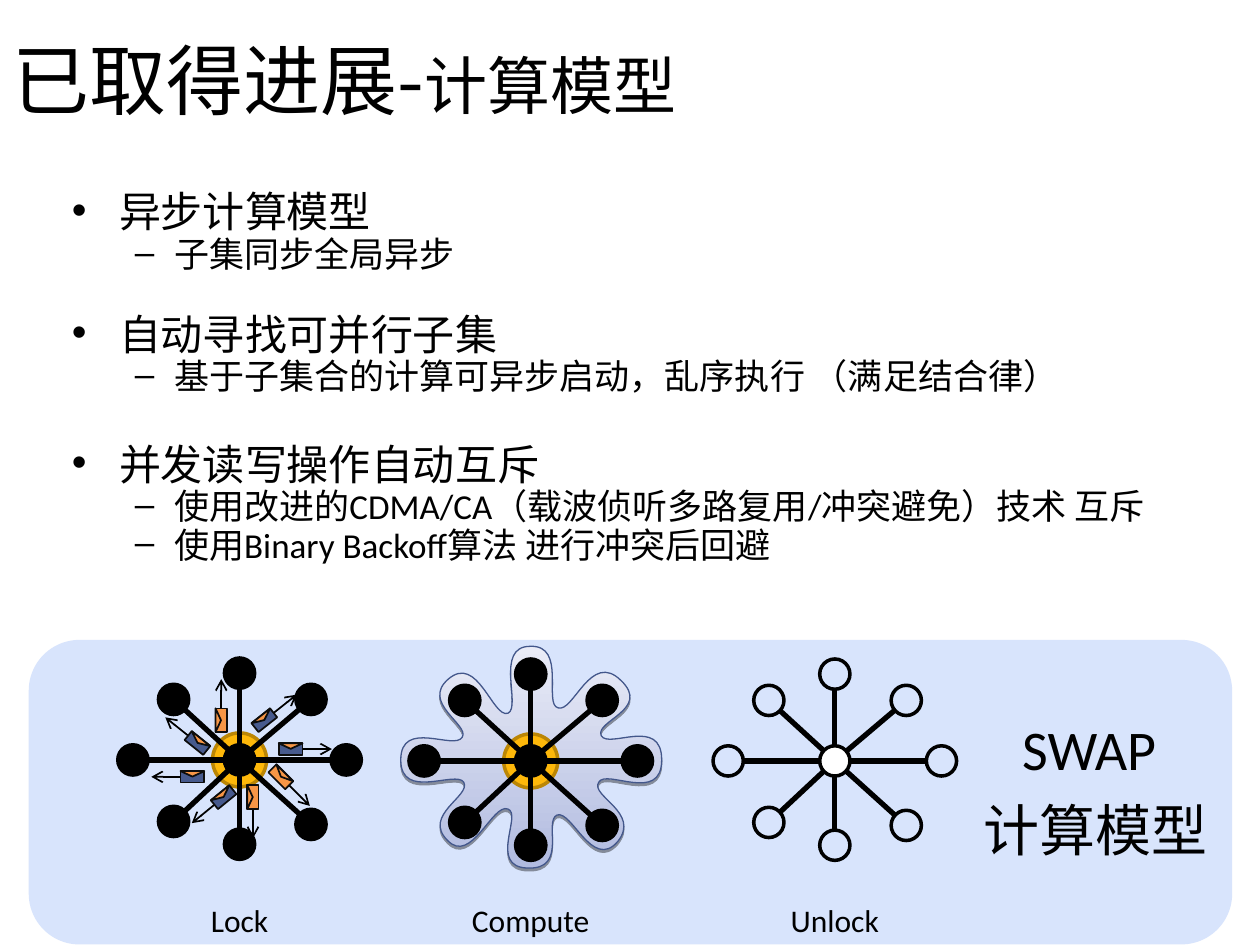
"""Build the slide on the asynchronous SWAP computing model."""
from dataclasses import dataclass
from math import cos, hypot, radians, sin

from lxml import etree
from pptx import Presentation
from pptx.dml.color import RGBColor
from pptx.enum.shapes import MSO_CONNECTOR, MSO_SHAPE
from pptx.enum.text import MSO_ANCHOR, PP_ALIGN
from pptx.oxml.ns import qn
from pptx.util import Cm, Pt

STRAIGHT = MSO_CONNECTOR.STRAIGHT
OVAL, RECTANGLE = MSO_SHAPE.OVAL, MSO_SHAPE.RECTANGLE
ROUNDED, TRIANGLE = MSO_SHAPE.ROUNDED_RECTANGLE, MSO_SHAPE.ISOSCELES_TRIANGLE
LEFT, CENTER = PP_ALIGN.LEFT, PP_ALIGN.CENTER
TOP, MIDDLE = MSO_ANCHOR.TOP, MSO_ANCHOR.MIDDLE


@dataclass(frozen=True)
class Theme:
    """Colours, fonts and type sizes."""
    latin: str = "Calibri"
    asian: str = "Noto Sans CJK SC"
    ink: str = "000000"
    paper: str = "FFFFFF"
    panel: str = "D8E4FC"
    glow: str = "FEB80A"
    glow_edge: str = "BB8605"
    cloud_dark: str = "B1BBE0"
    cloud_light: str = "EAECF7"
    cloud_edge: str = "43578B"
    blue: str = "475A8D"
    orange: str = "F79646"
    envelope_edge: str = "0D0D0D"
    title: int = 44
    subtitle: int = 36
    topic: int = 24
    detail: int = 20
    label: int = 18
    model: int = 32


THEME = Theme()

TITLE = [("已取得进展-", THEME.title), ("计算模型", THEME.subtitle)]
TOPICS = [
    (0, "异步计算模型", ["子集同步全局异步"]),
    (28, "自动寻找可并行子集", ["基于子集合的计算可异步启动，乱序执行 （满足结合律）"]),
    (32.5, "并发读写操作自动互斥", [
        "使用改进的CDMA/CA（载波侦听多路复用/冲突避免）技术 互斥",
        "使用Binary Backoff算法 进行冲突后回避"]),
]
MODEL = ["SWAP ", "计算模型"]

# name, hub x, hub y, glowing, hub fill, node fill, label width
STAGES = [
    ("Compute", 10.7, 15.34, True, THEME.ink, THEME.ink, 2.87),
    ("Lock", 4.83, 15.32, True, THEME.ink, THEME.ink, 1.8),
    ("Unlock", 16.83, 15.34, False, THEME.paper, None, 2.29),
]
NODES = [(-1.33, -1.22), (1.44, -1.22), (0, -1.75), (2.15, 0),
         (-2.15, 0), (0, 1.7), (-1.33, 1.24), (1.44, 1.3)]
NODE_SIZE, GLOW_SIZE = 0.61, 1.09

# x and y from the hub, turn, travel direction, fill
ENVELOPES = [
    (1.03, -0.22, 0, 1, THEME.blue), (0.5, -0.8, 321.6, 1, THEME.blue),
    (-0.37, -0.8, 270, 1, THEME.orange), (-0.85, -0.34, 38.7, -1, THEME.blue),
    (-0.95, 0.34, 0, -1, THEME.blue), (-0.32, 0.75, 320.8, -1, THEME.blue),
    (0.27, 0.75, 270, -1, THEME.orange), (0.83, 0.34, 45, 1, THEME.orange),
]
CLOUD_START = (8.08, 15.32)
CLOUD_CURVES = [
    ((8.08, 14.48), (9.17, 15.14), (9.32, 14.86)),
    ((9.47, 14.61), (8.48, 14.17), (9.04, 13.69)),
    ((9.63, 13.18), (9.93, 14.48), (10.24, 14.38)),
    ((10.52, 14.25), (9.96, 13.03), (10.69, 13.03)),
    ((11.43, 13), (10.95, 14.2), (11.25, 14.27)),
    ((11.56, 14.38), (11.91, 13.11), (12.52, 13.72)),
    ((13.13, 14.3), (11.99, 14.53), (12.12, 14.83)),
    ((12.27, 15.11), (13.34, 14.43), (13.34, 15.32)),
    ((13.34, 16.21), (12.22, 15.49), (12.07, 15.77)),
    ((11.89, 16.05), (12.93, 16.38), (12.45, 16.97)),
    ((11.94, 17.55), (11.53, 16.33), (11.23, 16.43)),
    ((10.95, 16.56), (11.46, 17.53), (10.64, 17.5)),
    ((9.83, 17.48), (10.54, 16.41), (10.24, 16.31)),
    ((9.93, 16.18), (9.5, 17.45), (9.02, 16.94)),
    ((8.51, 16.43), (9.5, 16.05), (9.35, 15.77)),
    ((9.19, 15.52), (8.08, 16.15), CLOUD_START),
]


def color(code):
    return RGBColor.from_string(code)


def add_text_box(shapes, left, top, width, height, wrap=True, anchor=TOP):
    frame = shapes.add_textbox(Cm(left), Cm(top), Cm(width), Cm(height)).text_frame
    frame.word_wrap, frame.vertical_anchor = wrap, anchor
    return frame


def add_paragraph(frame, spans, align=LEFT, before=0, bullet=None, margin=0, hang=0,
                  latin=THEME.latin):
    first = not frame.paragraphs[0].runs
    para = frame.paragraphs[0] if first else frame.add_paragraph()
    if bullet:
        properties = para._p.get_or_add_pPr()
        properties.set("marL", str(Cm(margin)))
        properties.set("indent", str(-Cm(hang)))
        etree.SubElement(properties, qn("a:buFont"), typeface="Arial")
        etree.SubElement(properties, qn("a:buChar"), char=bullet)
        para.line_spacing = 0.7
    para.alignment = align
    if before:
        para.space_before = Pt(before)
    for text, size in spans:
        span = para.add_run()
        span.text = text
        span.font.size, span.font.name = Pt(size), latin
        span.font.color.rgb = color(THEME.ink)
        etree.SubElement(span._r.get_or_add_rPr(), qn("a:ea"), typeface=THEME.asian)


def add_centered(shapes, kind, x, y, width, height, fill, edge=None, weight=2, turn=0):
    shape = shapes.add_shape(kind, Cm(x - width / 2), Cm(y - height / 2),
                             Cm(width), Cm(height))
    shape.shadow.inherit = False
    shape.rotation = turn
    if fill:
        shape.fill.solid()
        shape.fill.fore_color.rgb = color(fill)
    else:
        shape.fill.background()
    if edge:
        shape.line.color.rgb, shape.line.width = color(edge), Pt(weight)
    else:
        shape.line.fill.background()
    return shape


def add_line(shapes, start, end, weight, arrow=False):
    line = shapes.add_connector(STRAIGHT, *(Cm(value) for value in (*start, *end)))
    line.line.color.rgb, line.line.width = color(THEME.ink), Pt(weight)
    if arrow:
        etree.SubElement(line.line._get_or_add_ln(), qn("a:tailEnd"), type="arrow")
    etree.SubElement(line._element.spPr, qn("a:effectLst"))


def add_cloud(shapes):
    builder = shapes.build_freeform(*(Cm(value) for value in CLOUD_START))
    builder.add_line_segments([(Cm(x), Cm(y)) for *_, (x, y) in CLOUD_CURVES], close=True)
    cloud = builder.convert_to_shape()
    segments = list(cloud._element.iter(qn("a:lnTo")))
    for segment, curve in zip(segments, CLOUD_CURVES):
        bend = etree.Element(qn("a:cubicBezTo"))
        for x, y in curve:
            etree.SubElement(bend, qn("a:pt"), x=str(Cm(x) - cloud.left),
                             y=str(Cm(y) - cloud.top))
        segment.getparent().replace(segment, bend)
    cloud.fill.gradient()
    cloud.fill.gradient_angle = 90
    for stop, code in zip(cloud.fill.gradient_stops, (THEME.cloud_dark, THEME.cloud_light)):
        stop.color.rgb = color(code)
    cloud.line.color.rgb, cloud.line.width = color(THEME.cloud_edge), Pt(0.75)
    effects = etree.SubElement(cloud._element.spPr, qn("a:effectLst"))
    shadow = etree.SubElement(effects, qn("a:outerShdw"), blurRad="0",
                              dist=str(Pt(1.6)), dir="5400000", rotWithShape="0")
    shade = etree.SubElement(shadow, qn("a:srgbClr"), val=THEME.ink)
    etree.SubElement(shade, qn("a:alpha"), val="38000")


def add_stage(page, name, x, y, glowing, hub_fill, node_fill, label_width):
    shapes = page.shapes.add_group_shape().shapes
    if glowing:
        add_centered(shapes, OVAL, x, y, GLOW_SIZE, GLOW_SIZE, THEME.glow, THEME.glow_edge)
    for dx, dy in NODES:
        near = NODE_SIZE / 2 / hypot(dx, dy)
        add_line(shapes, (x + dx * near, y + dy * near),
                 (x + dx * (1 - near), y + dy * (1 - near)), 3)
    for dx, dy, fill in [(0, 0, hub_fill)] + [(*node, node_fill) for node in NODES]:
        add_centered(shapes, OVAL, x + dx, y + dy, NODE_SIZE, NODE_SIZE, fill, THEME.ink)
    frame = add_text_box(shapes, x - label_width / 2, 18.03, label_width, 1.02, wrap=False)
    add_paragraph(frame, [(name, THEME.label)], CENTER)
    return shapes


def add_envelope(shapes, x, y, turn, direction, fill):
    across, down = cos(radians(turn)), sin(radians(turn))
    start, end = [(x + direction * reach * across, y + direction * reach * down)
                  for reach in (0.24, 0.83)]
    add_line(shapes, start, end, 1, arrow=True)
    add_centered(shapes, RECTANGLE, x, y, 0.48, 0.23, fill, THEME.envelope_edge, 1, turn)
    add_centered(shapes, TRIANGLE, x + 0.06 * down, y - 0.06 * across, 0.48, 0.11,
                 THEME.orange, THEME.envelope_edge, 1, (turn + 180) % 360)


def main():
    deck = Presentation()
    deck.slide_width, deck.slide_height = Cm(25.4), Cm(19.05)
    page = deck.slides.add_slide(deck.slide_layouts[6])
    add_centered(page.shapes, ROUNDED, 12.71, 15.97, 24.26, 6.14, THEME.panel)
    heading = add_text_box(page.shapes, 0, 0, 22.86, 3.18, anchor=MIDDLE)
    add_paragraph(heading, TITLE, latin=THEME.asian)
    body = add_text_box(page.shapes, 1.2, 3.9, 23.14, 8.64)
    for before, topic, details in TOPICS:
        add_paragraph(body, [(topic, THEME.topic)], LEFT, before, "•", 0.95, 0.95)
        for detail in details:
            add_paragraph(body, [(detail, THEME.detail)], LEFT, 5, "–", 2.06, 0.79)
    add_cloud(page.shapes)
    for stage in STAGES:
        shapes = add_stage(page, *stage)
        if stage[0] == "Lock":
            for dx, dy, *look in ENVELOPES:
                add_envelope(shapes, stage[1] + dx, stage[2] + dy, *look)
    model = add_text_box(page.shapes, 18.62, 14.27, 6.93, 3.25, wrap=False)
    for index, text in enumerate(MODEL):
        add_paragraph(model, [(text, THEME.model)], CENTER, 8 * index)
    deck.save("out.pptx")


if __name__ == "__main__":
    main()
